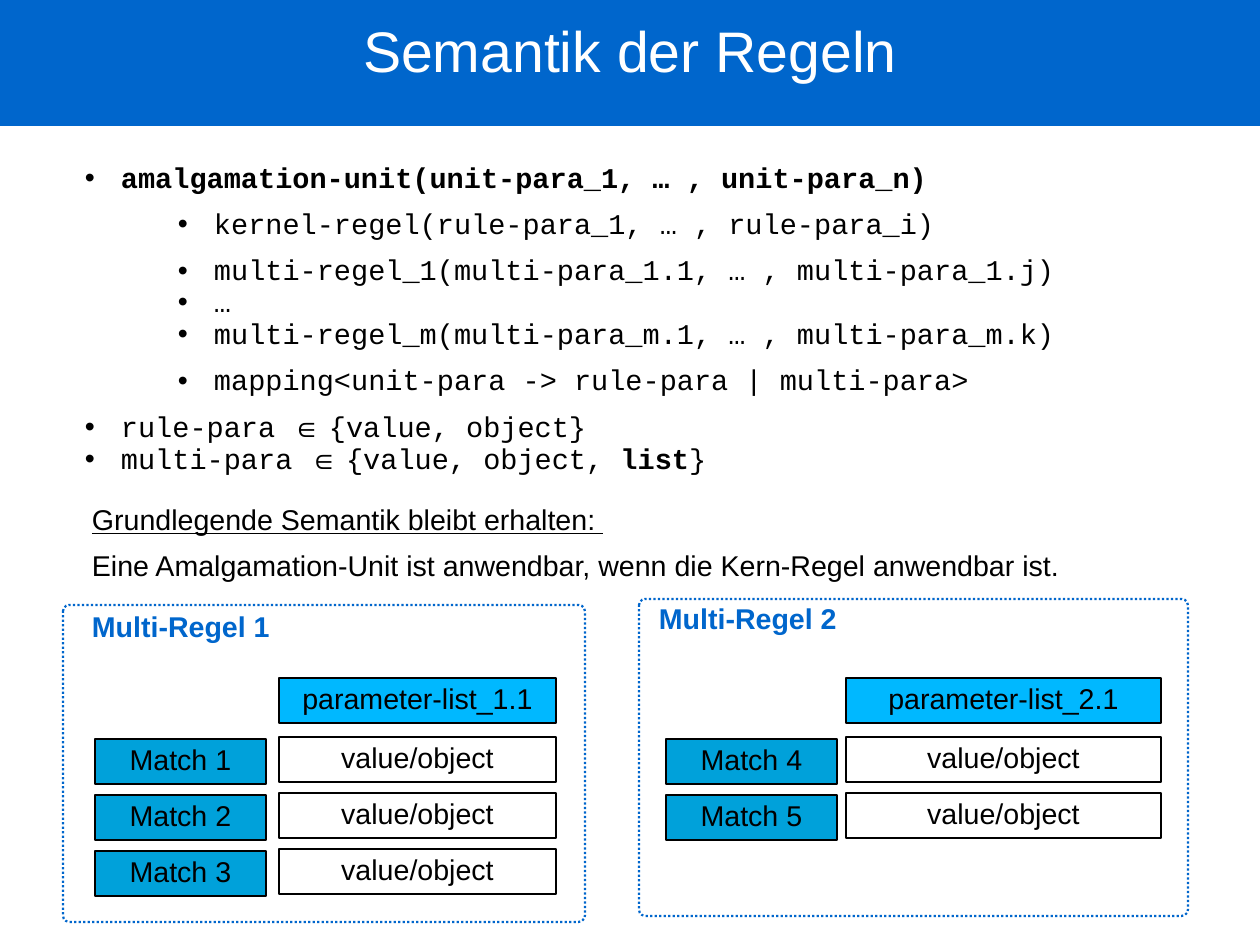
from dataclasses import dataclass

from lxml.etree import SubElement
from pptx import Presentation
from pptx.dml.color import RGBColor as RGB
from pptx.enum.dml import MSO_LINE
from pptx.enum.shapes import MSO_SHAPE as SHAPE
from pptx.enum.text import MSO_ANCHOR as ANCHOR, MSO_AUTO_SIZE as FIT, PP_ALIGN as ALIGN
from pptx.oxml.ns import qn
from pptx.util import Pt

PX = 8000
WIDTH, HEIGHT = 1260, 945
TEXT_INSETS = (11, 6, 11, 6)


@dataclass(frozen=True)
class Theme:
    """Colours, fonts and type sizes of the slide."""
    blue: RGB = RGB(0x00, 0x66, 0xCC)
    header: RGB = RGB(0x00, 0xB8, 0xFF)
    match: RGB = RGB(0x00, 0xA1, 0xDA)
    black: RGB = RGB(0, 0, 0)
    white: RGB = RGB(0xFF, 0xFF, 0xFF)
    sans: str = "Arial"
    mono: str = "Courier New"
    body: Pt = Pt(18)
    title: Pt = Pt(36)
    leading: float = 0.93


THEME = Theme()


def apply(target, **formats):
    """Set every given format value on the target."""
    for name, value in formats.items():
        setattr(target, name, value)


def emu(box):
    """Turn a box in px into EMU."""
    return [length * PX for length in box]


def prepare_frame(frame, anchor=ANCHOR.TOP, insets=TEXT_INSETS):
    """Give a text frame its wrapping, anchor and insets."""
    left, top, right, bottom = emu(insets)
    apply(frame, word_wrap=True, auto_size=FIT.NONE, vertical_anchor=anchor,
          margin_left=left, margin_top=top, margin_right=right, margin_bottom=bottom)


def write(paragraph, runs, align=ALIGN.LEFT, gap=0, **formats):
    """Write runs of (text, own formats) into a paragraph."""
    apply(paragraph, alignment=align, line_spacing=THEME.leading, space_before=Pt(gap))
    for text, own in runs:
        run = paragraph.add_run()
        run.text = text
        look = {"name": THEME.sans, "size": THEME.body, "color": THEME.black, **formats, **own}
        run.font.color.rgb = look.pop("color")
        apply(run.font, **look)


def add_bullet(paragraph, indent):
    """Hang a round bullet in front of a paragraph."""
    properties = paragraph._p.get_or_add_pPr()
    properties.set("marL", str(indent * PX))
    properties.set("indent", str(-36 * PX))
    colour = SubElement(properties, qn("a:buClr"))
    SubElement(colour, qn("a:srgbClr"), val=str(THEME.black))
    SubElement(properties, qn("a:buFont"), typeface=THEME.sans)
    SubElement(properties, qn("a:buChar"), char="•")


def add_text(slide, box, lines, insets=TEXT_INSETS, **formats):
    """Add a text box of (runs, gap, bullet indent) lines."""
    frame = slide.shapes.add_textbox(*emu(box)).text_frame
    prepare_frame(frame, insets=insets)
    for index, (runs, gap, indent) in enumerate(lines):
        paragraph = frame.add_paragraph() if index else frame.paragraphs[0]
        write(paragraph, runs, gap=gap, **formats)
        if indent:
            add_bullet(paragraph, indent)


def add_title(slide, box, text):
    """Turn the title placeholder into the blue band."""
    title = slide.shapes.title
    apply(title, **dict(zip(("left", "top", "width", "height"), emu(box))))
    title.fill.solid()
    title.fill.fore_color.rgb = THEME.blue
    prepare_frame(title.text_frame, ANCHOR.MIDDLE, (0, 3, 0, 0))
    write(title.text_frame.paragraphs[0], [(text, {})], ALIGN.CENTER,
          size=THEME.title, color=THEME.white)


def add_signatures(slide, box):
    """List the unit, its rules and its parameter types."""
    element = ("∈ ", {"name": THEME.sans})
    outer, inner = 36, 129
    add_text(slide, box, [
        ([("amalgamation-unit(unit-para_1, … , unit-para_n)", {"bold": True})], 0, outer),
        ([("kernel-regel(rule-para_1, … , rule-para_i)", {})], 9, inner),
        ([("multi-regel_1(multi-para_1.1, … , multi-para_1.j)", {})], 9, inner),
        ([("…", {})], 0, inner),
        ([("multi-regel_m(multi-para_m.1, … , multi-para_m.k)", {})], 0, inner),
        ([("mapping<unit-para -> rule-para | multi-para>", {})], 9, inner),
        ([("rule-para ", {}), element, ("{value, object}", {})], 9, outer),
        ([("multi-para ", {}), element, ("{value, object, ", {}),
          ("list", {"bold": True}), ("}", {})], 0, outer),
    ], name=THEME.mono)


def add_semantics(slide, box):
    """State the basic semantics."""
    add_text(slide, box, [
        ([("Grundlegende Semantik bleibt erhalten: ", {"underline": True})], 0, 0),
        ([("Eine Amalgamation-Unit ist anwendbar, wenn die Kern-Regel anwendbar ist.", {})], 9, 0),
    ])


def add_cell(slide, box, text, fill=None):
    """Add one outlined cell with centred text."""
    cell = slide.shapes.add_shape(SHAPE.RECTANGLE, *emu(box))
    cell.shadow.inherit = False
    if fill:
        cell.fill.solid()
        cell.fill.fore_color.rgb = fill
    else:
        cell.fill.background()
    cell.line.color.rgb = THEME.black
    cell.line.width = Pt(1.5)
    prepare_frame(cell.text_frame)
    write(cell.text_frame.paragraphs[0], [(text, {})], ALIGN.CENTER)


def add_rule_panel(slide, box, number, matches, label_at, match_x, list_x, list_width, header_y):
    """Add a dotted panel with one value row per match."""
    left, top, _, _ = box
    border = slide.shapes.add_shape(SHAPE.ROUNDED_RECTANGLE, *emu(box))
    border.adjustments[0] = 0.02
    border.shadow.inherit = False
    border.fill.background()
    border.line.color.rgb = THEME.blue
    apply(border.line, width=Pt(1.42), dash_style=MSO_LINE.ROUND_DOT)

    label_x, label_y = label_at
    add_text(slide, (left + label_x, top + label_y, 321, 45),
             [([(f"Multi-Regel {number}", {})], 0, 0)],
             insets=(11, 8, 11, 6), color=THEME.blue, bold=True)

    pitch, height, match_width = 56, 45, 171
    header_top = top + header_y
    first_row = header_top + 59
    add_cell(slide, (left + list_x, header_top, list_width, height),
             f"parameter-list_{number}.1", THEME.header)
    for row, match in enumerate(matches):
        row_top = first_row + row * pitch
        add_cell(slide, (left + list_x, row_top, list_width, height), "value/object")
        add_cell(slide, (left + match_x, row_top + 2, match_width, height),
                 f"Match {match}", THEME.match)


def main():
    """Build the slide and save it."""
    deck = Presentation()
    deck.slide_width = WIDTH * PX
    deck.slide_height = HEIGHT * PX
    slide = deck.slides.add_slide(deck.slide_layouts[5])
    add_title(slide, (0, -22, WIDTH, 148), "Semantik der Regeln")
    add_signatures(slide, (74, 157, 1005, 357))
    add_semantics(slide, (81, 499, 1080, 89))
    add_rule_panel(slide, (63, 605, 522, 317), 1, (1, 2, 3), label_at=(18, -1),
                   match_x=32, list_x=216, list_width=277, header_y=73)
    add_rule_panel(slide, (639, 599, 549, 317), 2, (4, 5), label_at=(9, -3),
                   match_x=27, list_x=207, list_width=315, header_y=79)
    deck.save("out.pptx")


if __name__ == "__main__":
    main()
